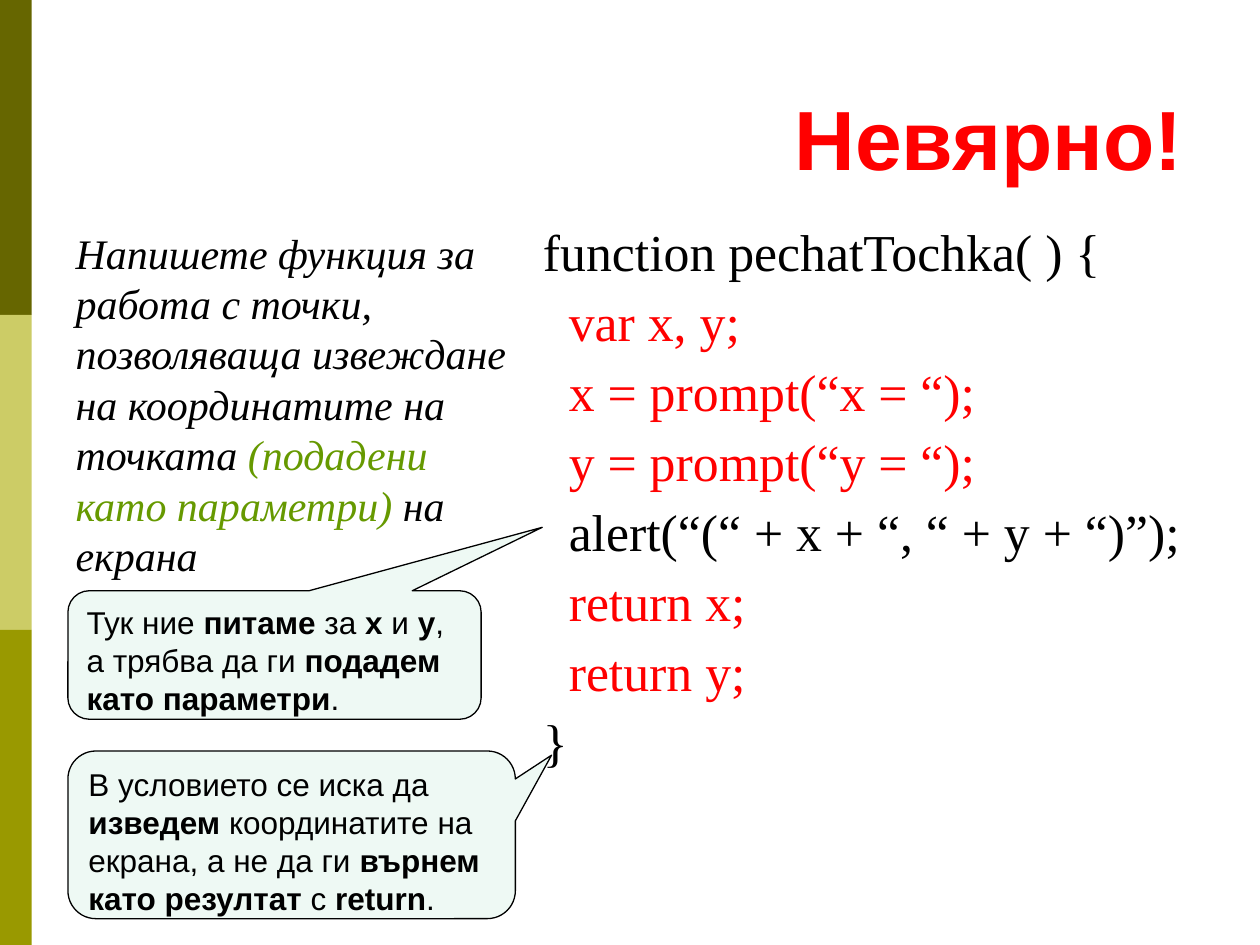
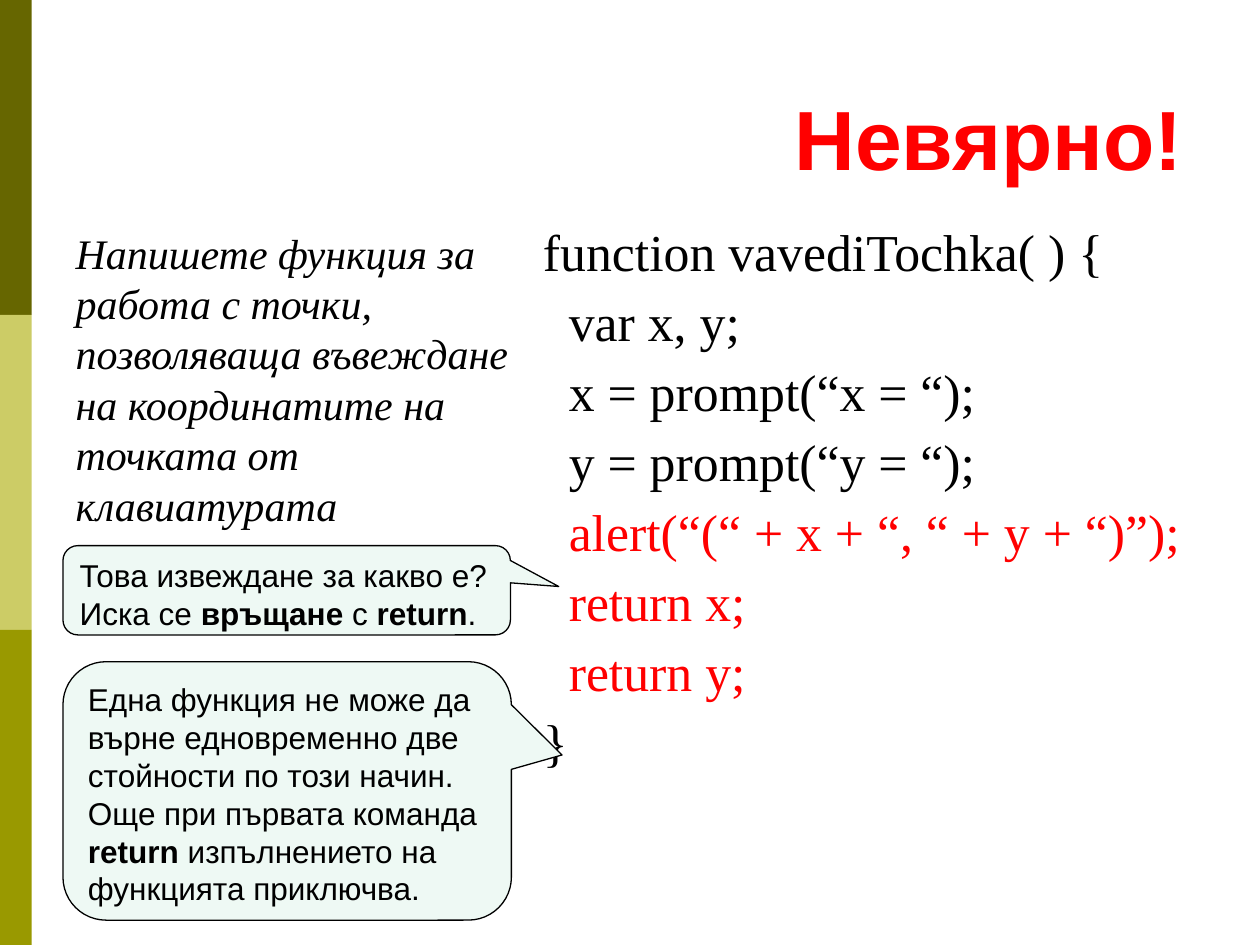
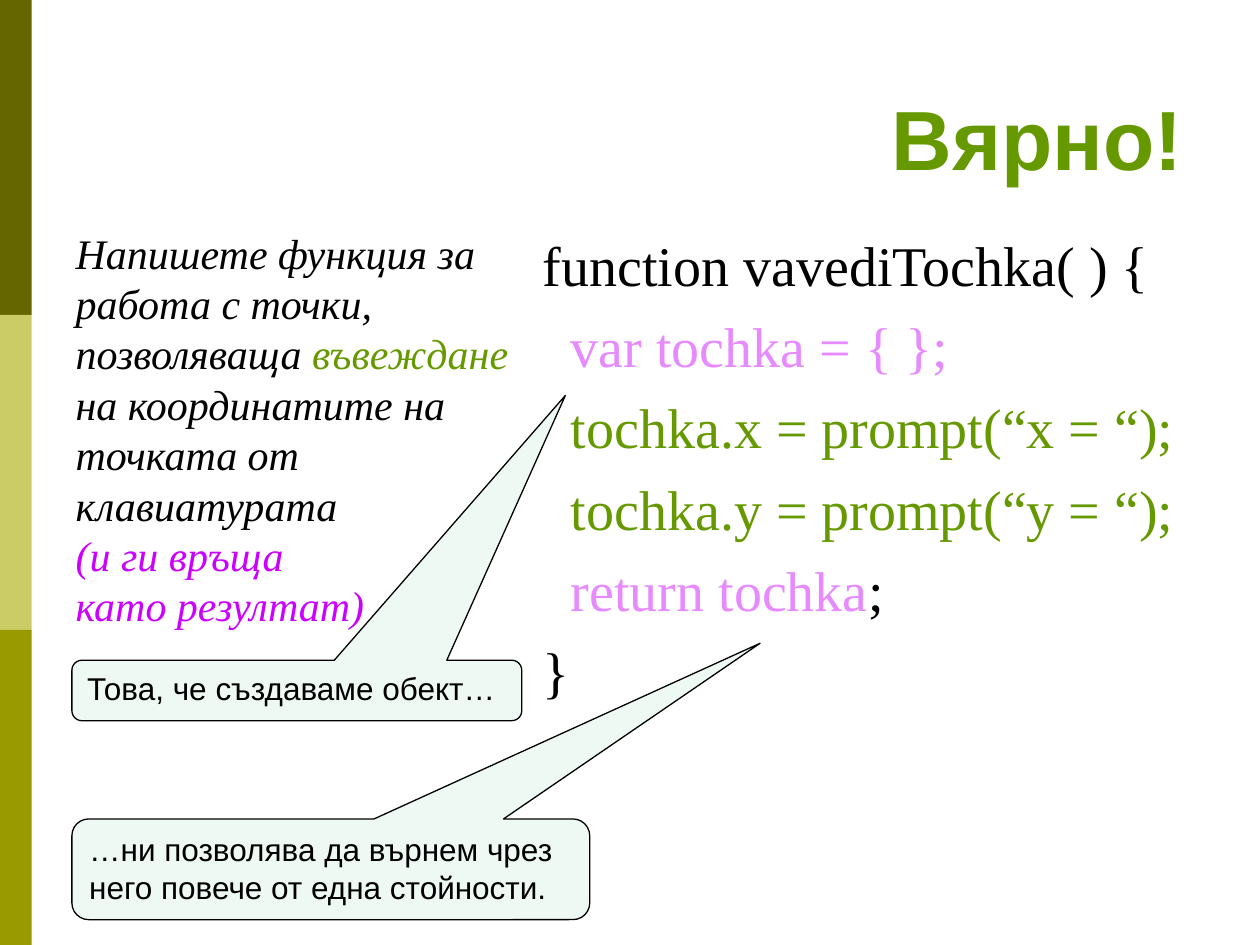
"""Build three slides on right and wrong JavaScript functions for points."""
from dataclasses import dataclass
from typing import NamedTuple, Optional

from lxml.etree import SubElement
from pptx import Presentation
from pptx.dml.color import RGBColor
from pptx.enum.shapes import MSO_SHAPE as Preset
from pptx.enum.text import MSO_ANCHOR as Anchor, MSO_AUTO_SIZE as AutoSize, PP_ALIGN as Align
from pptx.oxml.ns import qn
from pptx.util import Cm, Pt

BLACK = RGBColor(0x00, 0x00, 0x00)
RED = RGBColor(0xFF, 0x00, 0x00)
GREEN = RGBColor(0x66, 0x99, 0x00)
MAGENTA = RGBColor(0xCC, 0x00, 0xFF)
PINK = RGBColor(0xE7, 0x8A, 0xFF)
MINT = RGBColor(0xEE, 0xF9, 0xF4)
BAND_COLORS = (RGBColor(0x66, 0x66, 0x00), RGBColor(0xCC, 0xCC, 0x66), RGBColor(0x99, 0x99, 0x00))
SANS, SERIF = "Arial", "Times New Roman"
TWO_CONTENT = 3


class Span(NamedTuple):
    """A stretch of text with optional colour and weight; newlines break lines."""
    text: str
    color: Optional[RGBColor] = None
    bold: Optional[bool] = None


class Frame(NamedTuple):
    """A rectangle in centimetres."""
    left: float
    top: float
    width: float
    height: float


class Style(NamedTuple):
    """The look shared by the paragraphs of a box."""
    font: str
    size: float
    color: RGBColor = BLACK
    bold: bool = False
    italic: bool = False
    align: Align = Align.LEFT
    line_spacing: float = 1.0
    space_before: float = 0


@dataclass
class Callout:
    """A speech bubble whose tail is an offset relative to its size."""
    frame: Frame
    tail: tuple[float, float]
    spans: list[Span]


@dataclass
class Page:
    """The contents of one slide."""
    title: str
    title_color: RGBColor
    task: list[Span]
    code: list[list[Span]]
    callouts: list[Callout]
    title_frame: Frame = Frame(1.27, -1.93, 22.83, 5.84)
    code_frame: Frame = Frame(10.69, 4.45, 14.4, 14.07)
    code_style: Style = Style(SERIF, 29.6, line_spacing=0.9, space_before=8)


TASK_FRAME = Frame(1.27, 4.45, 9.42, 12.57)
TASK_STYLE = Style(SERIF, 24, italic=True)
CALLOUT_STYLE = Style(SANS, 18)


def code_line(text: str, color: Optional[RGBColor] = None) -> list[Span]:
    """Return an indented line of code in one colour."""
    return [Span("  " + text, color)]


def bold(text: str) -> Span:
    """Return a bold span."""
    return Span(text, bold=True)


PAGES = [
    Page(
        "Невярно!", RED,
        [Span("Напишете функция за работа с точки, позволяваща извеждане на координатите на точката "),
         Span("(подадени като параметри) ", GREEN), Span("на екрана")],
        [[Span("function pechatTochka( ) {")],
         code_line("var x, y;", RED),
         code_line("x = prompt(“x = “);", RED),
         code_line("y = prompt(“y = “);", RED),
         code_line("alert(“(“ + x + “, “ + y + “)”);"),
         code_line("return x;", RED),
         code_line("return y;", RED),
         [Span("}")]],
        [Callout(Frame(1.37, 11.91, 8.33, 2.59), (0.648, -0.994),
                 [Span("Тук ние "), bold("питаме"), Span(" за "), bold("x"), Span(" и "), bold("y"),
                  Span(", а трябва да ги "), bold("подадем като параметри"), Span(".")]),
         Callout(Frame(1.37, 15.14, 9.02, 3.38), (0.581, -0.475),
                 [Span("В условието се иска да "), bold("изведем"),
                  Span(" координатите на екрана, а не да ги "), bold("върнем като резултат "),
                  Span("с "), bold("return"), Span(".")])],
    ),
    Page(
        "Невярно!", RED,
        [Span("Напишете функция за работа с точки, позволяваща въвеждане на координатите "
              "на точката от клавиатурата")],
        [[Span("function vavediTochka( ) {")],
         code_line("var x, y;"),
         code_line("x = prompt(“x = “);"),
         code_line("y = prompt(“y = “);"),
         code_line("alert(“(“ + x + “, “ + y + “)”);", RED),
         code_line("return x;", RED),
         code_line("return y;", RED),
         [Span("}")]],
        [Callout(Frame(1.27, 13.34, 9.04, 5.21), (0.613, -0.139),
                 [Span("Една функция не може да върне едновременно две стойности по този начин. "
                       "Още при първата команда "),
                  bold("return "), Span("изпълнението на функцията приключва.")]),
         Callout(Frame(1.27, 11, 9.02, 1.8), (0.608, -0.042),
                 [Span("Това извеждане за какво е? Иска се "), bold("връщане"), Span(" с "),
                  bold("return"), Span(".")])],
    ),
    Page(
        "Вярно!", GREEN,
        [Span("Напишете функция за работа с точки, позволяваща "), Span("въвеждане ", GREEN),
         Span("на координатите на точката от клавиатурата \n"),
         Span("(и ги връща \nкато резултат)", MAGENTA)],
        [[Span("function vavediTochka( ) {")],
         code_line("var tochka = { };", PINK),
         code_line("tochka.x = prompt(“x = “);", GREEN),
         code_line("tochka.y = prompt(“y = “);", GREEN),
         code_line("return tochka", PINK) + [Span(";")],
         [Span("}")]],
        [Callout(Frame(1.45, 13.31, 9.07, 1.22), (0.597, -4.877),
                 [Span("Това, че създаваме обект…")]),
         Callout(Frame(1.45, 16.51, 10.44, 2.03), (0.829, -2.245),
                 [Span("…ни позволява да върнем чрез него повече от една стойности.")])],
        title_frame=Frame(1.27, 0, 22.83, 3.91),
        code_frame=Frame(10.69, 4.52, 14.4, 13),
        code_style=Style(SERIF, 32, space_before=8),
    ),
]


def place(box, frame: Frame) -> None:
    """Move and size a shape."""
    box.left, box.top, box.width, box.height = map(Cm, frame)


def write_spans(para, spans: list[Span]) -> None:
    """Add spans to a paragraph, turning newlines into line breaks."""
    for span in spans:
        for number, part in enumerate(span.text.split("\n")):
            if number:
                para.add_line_break()
            run = para.add_run()
            run.text = part
            if span.color is not None:
                run.font.color.rgb = span.color
            if span.bold is not None:
                run.font.bold = span.bold


def write_text(box, lines: list[list[Span]], style: Style, anchor: Anchor = Anchor.TOP) -> None:
    """Fill a shape with unbulleted paragraphs in one style."""
    frame = box.text_frame
    frame.word_wrap = True
    frame.auto_size = AutoSize.NONE
    frame.vertical_anchor = anchor
    for number, spans in enumerate(lines):
        para = frame.add_paragraph() if number else frame.paragraphs[0]
        para.alignment = style.align
        para.line_spacing = style.line_spacing
        para.space_before = Pt(style.space_before if number else 0)
        properties = para._p.get_or_add_pPr()
        properties.set("marL", "0")
        properties.set("indent", "0")
        SubElement(properties, qn("a:buNone"))
        font = para.font
        font.name, font.size = style.font, Pt(style.size)
        font.bold, font.italic = style.bold, style.italic
        font.color.rgb = style.color
        write_spans(para, spans)


def add_callout(slide, callout: Callout) -> None:
    """Draw a speech bubble."""
    box = slide.shapes.add_shape(Preset.ROUNDED_RECTANGULAR_CALLOUT, *map(Cm, callout.frame))
    box.shadow.inherit = False
    box.adjustments[0], box.adjustments[1] = callout.tail
    box.fill.solid()
    box.fill.fore_color.rgb = MINT
    box.line.color.rgb = BLACK
    box.line.width = Pt(0.75)
    write_text(box, [callout.spans], CALLOUT_STYLE)


def add_bands(deck, slide) -> None:
    """Draw the side bands and hand them to the slide master."""
    height = deck.slide_height // len(BAND_COLORS)
    for number, color in enumerate(BAND_COLORS):
        band = slide.shapes.add_shape(Preset.RECTANGLE, 0, number * height, Cm(0.64), height)
        band.shadow.inherit = False
        band.fill.solid()
        band.fill.fore_color.rgb = color
        band.line.fill.background()
        deck.slide_master.shapes.element.insert(2 + number, band.element)


def add_page(deck, page: Page):
    """Add one slide with its title, task, code and callouts."""
    slide = deck.slides.add_slide(deck.slide_layouts[TWO_CONTENT])
    title, task, code = slide.placeholders
    place(title, page.title_frame)
    title_style = Style(SANS, 48, page.title_color, bold=True, align=Align.RIGHT)
    write_text(title, [[Span(page.title)]], title_style, Anchor.BOTTOM)
    place(task, TASK_FRAME)
    write_text(task, [page.task], TASK_STYLE)
    place(code, page.code_frame)
    write_text(code, page.code, page.code_style)
    for callout in page.callouts:
        add_callout(slide, callout)
    return slide


def main() -> None:
    """Build and save the deck."""
    deck = Presentation()
    deck.slide_width, deck.slide_height = Cm(25.4), Cm(19.05)
    slides = [add_page(deck, page) for page in PAGES]
    add_bands(deck, slides[0])
    deck.save("out.pptx")


if __name__ == "__main__":
    main()
